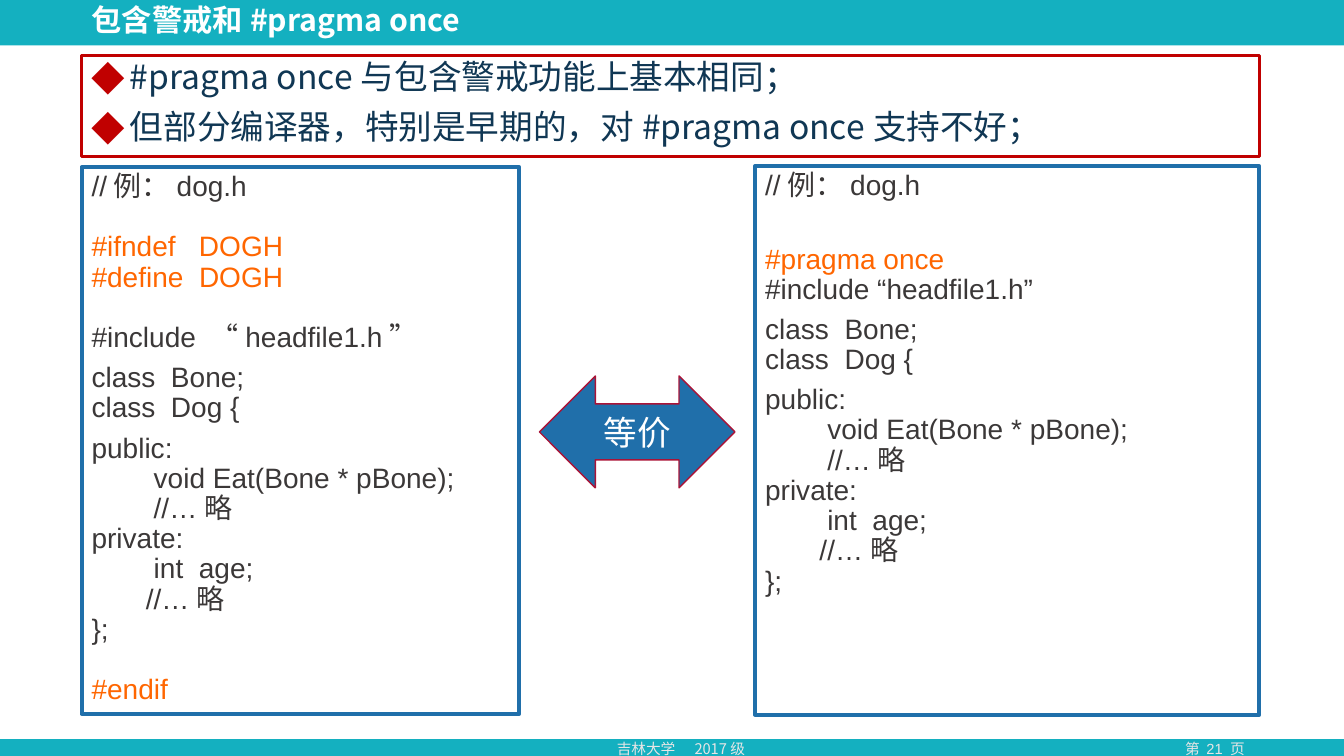
"""Build the slide that compares include guards with #pragma once."""
from lxml import etree
from pptx import Presentation
from pptx.dml.color import RGBColor
from pptx.enum.shapes import MSO_SHAPE
from pptx.enum.text import MSO_ANCHOR, PP_ALIGN
from pptx.oxml.ns import qn
from pptx.util import Inches, Pt

RECT, DOUBLE_ARROW = MSO_SHAPE.RECTANGLE, MSO_SHAPE.LEFT_RIGHT_ARROW
LEFT, CENTER = PP_ALIGN.LEFT, PP_ALIGN.CENTER
TOP, MIDDLE = MSO_ANCHOR.TOP, MSO_ANCHOR.MIDDLE

CJK, LATIN = "Noto Sans CJK SC", "Arial"
TEAL, BLUE, RED, WINE = "14B0C0", "206FAA", "C00000", "AA1337"
WHITE, PALE, NAVY = "FFFFFF", "E7E6E6", "103754"
CODE, ORANGE = "3B3838", "FF6600"


def rgb(value):
    return RGBColor.from_string(value)


class SlideBuilder:
    def __init__(self, slide):
        self.slide = slide

    def shape(self, box, fill=None, line=None, width=1, kind=RECT):
        shape = self.slide.shapes.add_shape(kind, *map(Inches, box))
        shape.shadow.inherit = False
        if fill:
            shape.fill.solid()
            shape.fill.fore_color.rgb = rgb(fill)
        else:
            shape.fill.background()
        if line:
            shape.line.color.rgb = rgb(line)
            shape.line.width = Pt(width)
        else:
            shape.line.fill.background()
        return shape

    def textbox(self, box):
        return self.slide.shapes.add_textbox(*map(Inches, box))

    def bullet(self, paragraph):
        props = paragraph._p.get_or_add_pPr()
        props.set("marL", str(Inches(0.38)))
        props.set("indent", str(-Inches(0.38)))
        color = etree.SubElement(props, qn("a:buClr"))
        etree.SubElement(color, qn("a:srgbClr"), val=RED)
        etree.SubElement(props, qn("a:buFont"), typeface=CJK)
        etree.SubElement(props, qn("a:buChar"), char="◆")

    def tab(self, paragraph, position):
        stops = etree.SubElement(paragraph._p.get_or_add_pPr(), qn("a:tabLst"))
        etree.SubElement(stops, qn("a:tab"), pos=str(Inches(position)), algn="l")

    def fill_text(self, shape, paragraphs, size, color, font=CJK, bold=False, align=LEFT,
                  anchor=TOP, spacing=1.0, before=0, bullets=False, tab=None):
        frame = shape.text_frame
        frame.word_wrap = True
        frame.vertical_anchor = anchor
        for index, runs in enumerate(paragraphs):
            paragraph = frame.add_paragraph() if index else frame.paragraphs[0]
            if bullets:
                self.bullet(paragraph)
            if tab:
                self.tab(paragraph, tab)
            paragraph.alignment = align
            paragraph.line_spacing = spacing
            paragraph.space_before = Pt(before if index else 0)
            paragraph.font.size = Pt(size)
            paragraph.font.name = font
            paragraph.font.bold = bold
            paragraph.font.color.rgb = rgb(color)
            etree.SubElement(paragraph.font._element, qn("a:ea"), typeface=CJK)
            for text, *style in runs:
                self.add_run(paragraph, text, *style)

    def add_run(self, paragraph, text, color=None, font=None):
        for number, line in enumerate(text.split("\n")):
            if number:
                paragraph.add_line_break()
            if line:
                run = paragraph.add_run()
                run.text = line
                if color:
                    run.font.color.rgb = rgb(color)
                if font:
                    run.font.name = font

    def code(self, box, paragraphs):
        self.fill_text(self.shape(box, line=BLUE, width=3), paragraphs, 20, CODE,
                       LATIN, spacing=0.9, before=7)


def main():
    prs = Presentation()
    prs.slide_width, prs.slide_height = Inches(13.33), Inches(7.5)
    page = SlideBuilder(prs.slides.add_slide(prs.slide_layouts[6]))

    page.shape((0, 0, 13.33, 7.5), TEAL)
    page.shape((0, 0.45, 13.33, 6.88), WHITE)
    page.fill_text(page.textbox((11.32, 7.29, 1.46, 0.28)), [[("第 21 页",)]],
                   10.5, PALE, LATIN, align=CENTER)
    page.fill_text(page.textbox((6.02, 7.29, 1.84, 0.28)), [[("吉林大学\t2017级",)]],
                   10.5, PALE, tab=0.77)

    heading = "//例：dog.h\n"
    declarations = [("class  Bone;\nclass  Dog {",)]
    members = ("public:\n        void Eat(Bone * pBone);\n        //…略\n"
               "private:\n        int  age;\n       //…略\n};")
    page.code((0.81, 1.66, 4.34, 5.42), [
        [(heading + "\n",), ("#ifndef   DOGH\n#define  DOGH\n\n", ORANGE),
         ("#include ",), ("“", CODE, CJK), ("headfile1.h",), ("”", CODE, CJK)],
        declarations,
        [(members + "\n\n",), ("#endif", ORANGE)],
    ])
    page.code((7.49, 1.65, 5, 5.44), [
        [(heading,)],
        [("#pragma once\n", ORANGE), ("#include “headfile1.h”",)],
        declarations,
        [(members,)],
    ])

    page.fill_text(page.textbox((0.81, 0, 9.5, 0.44)), [[("包含警戒和#pragma once",)]],
                   21.6, WHITE, bold=True, anchor=MIDDLE, spacing=0.9)
    arrow = page.shape((5.35, 3.73, 1.94, 1.11), BLUE, WINE, kind=DOUBLE_ARROW)
    page.fill_text(arrow, [[("等价",)]], 24, WHITE, align=CENTER, anchor=MIDDLE)
    summary = page.shape((0.81, 0.55, 11.68, 1), line=RED, width=2.25)
    page.fill_text(summary, [[("#pragma once与包含警戒功能上基本相同；",)],
                             [("但部分编译器，特别是早期的，对#pragma once支持不好；",)]],
                   24, NAVY, spacing=0.9, before=10, bullets=True)

    prs.save("out.pptx")


if __name__ == "__main__":
    main()
